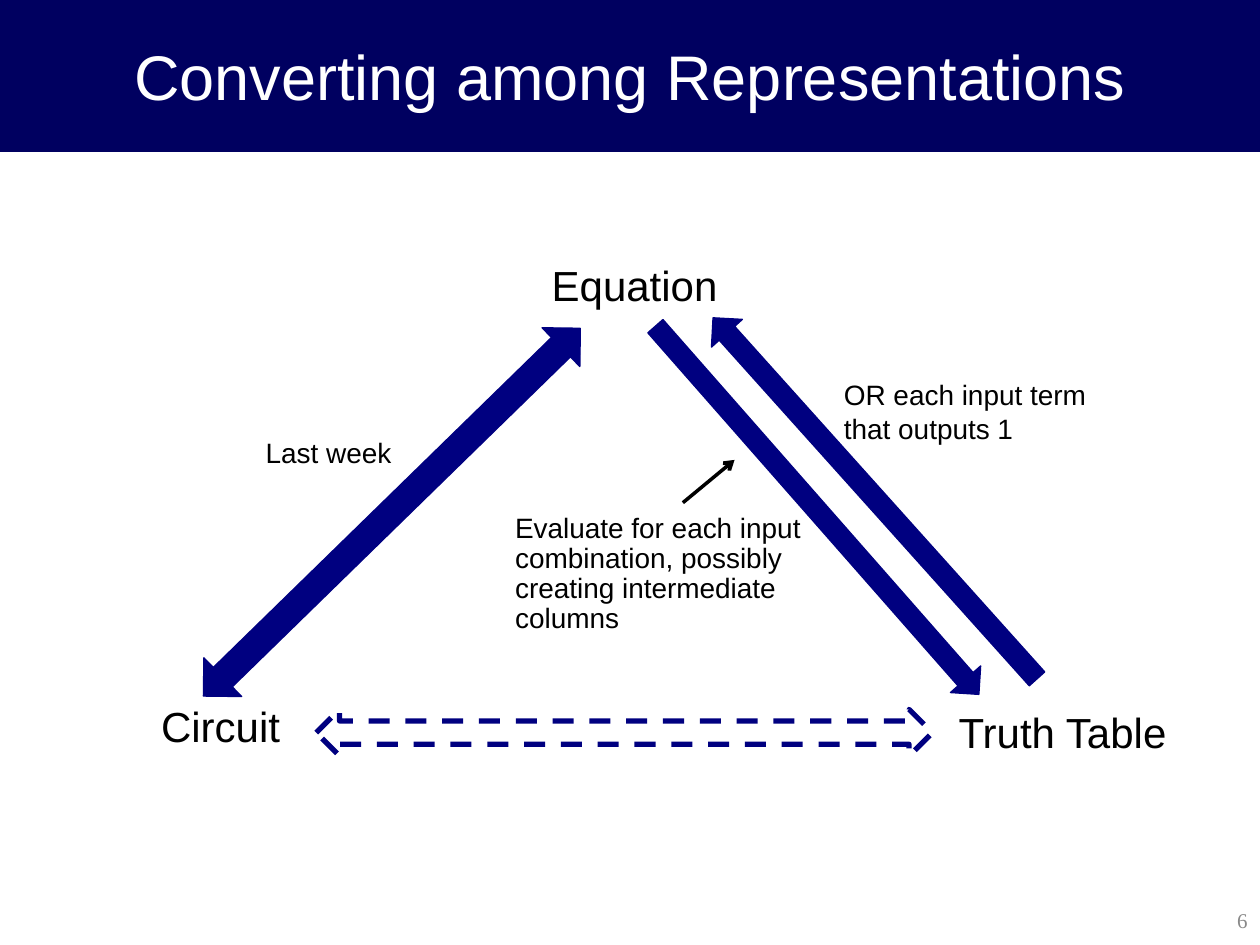
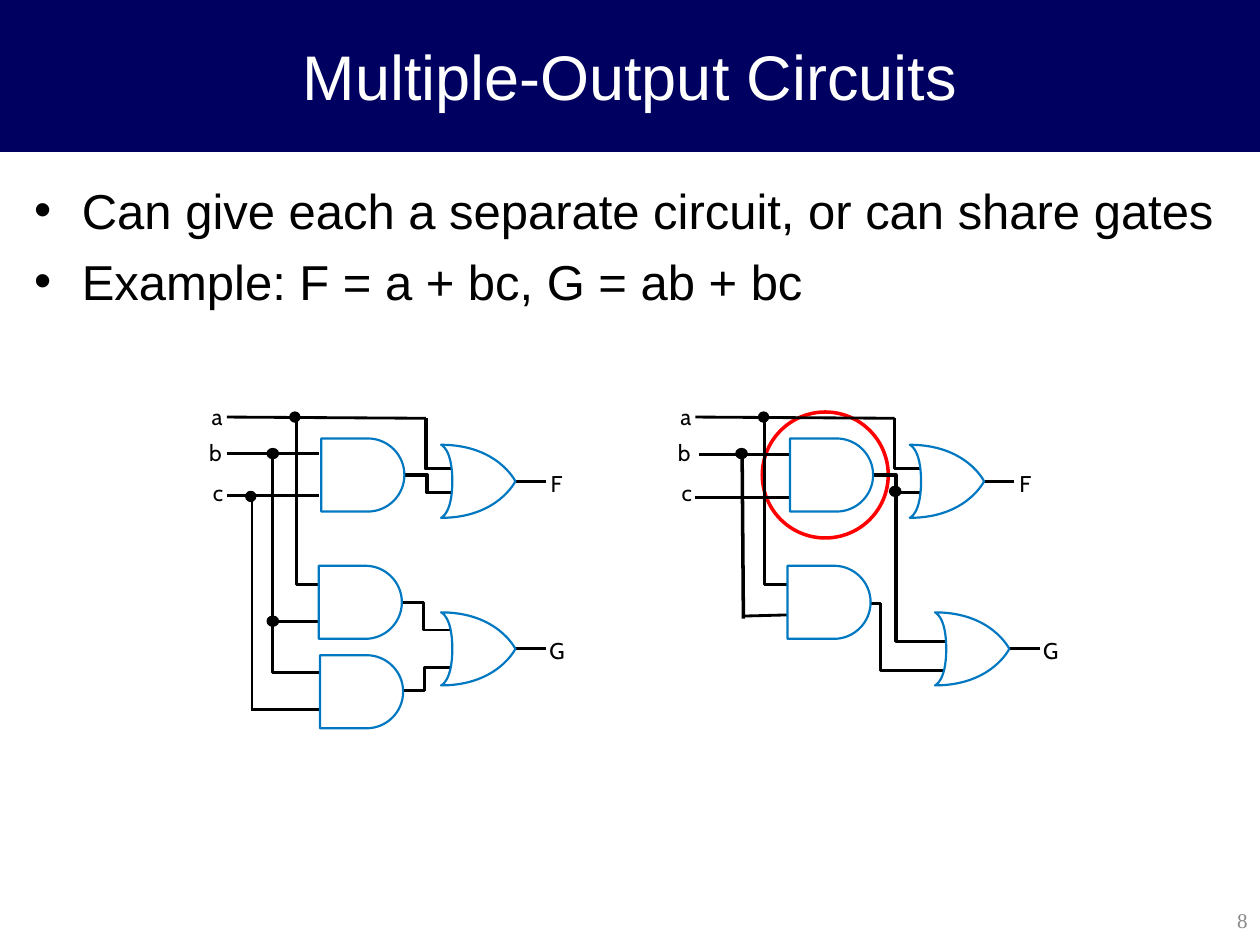
from lxml import etree
from pptx import Presentation
from pptx import util as u
from pptx.dml import color as dml
from pptx.enum import dml as lines, shapes, text
from pptx.oxml import ns

COLORS = {name: dml.RGBColor.from_string(value) for name, value in {
    "band": "000060", "arrow": "000080", "ink": "000000", "paper": "FFFFFF",
    "page": "898989", "gate": "0078C1", "highlight": "FF0000"}.items()}
THIN, THICK = 1.62, 2


def write(paragraph, words, size, color="ink", font="Arial"):
    run = paragraph.add_run()
    run.text = words
    run.font.size = u.Pt(size)
    run.font.name = font
    run.font.color.rgb = COLORS[color]


def wire(slide, points, weight):
    (x0, y0), (x1, y1) = points[0], points[-1]
    upright = len(points) == 4 and points[1][0] == x0
    if len(points) == 3:
        corners = [(u.Inches(x), u.Inches(y)) for x, y in points]
        builder = slide.shapes.build_freeform(*corners[0])
        builder.add_line_segments(corners[1:], close=False)
        path = builder.convert_to_shape()
        path.shadow.inherit = False
        path.fill.background()
    else:
        ends = (x0, y0, x1, y1)
        if upright:
            middle_x, middle_y = (x0 + x1) / 2, (y0 + y1) / 2
            half_x, half_y = (x1 - x0) / 2, (y1 - y0) / 2
            ends = (middle_x + half_y, middle_y - half_x, middle_x - half_y, middle_y + half_x)
        kind = shapes.MSO_CONNECTOR.STRAIGHT if len(points) == 2 else shapes.MSO_CONNECTOR.ELBOW
        path = slide.shapes.add_connector(kind, *map(u.Inches, ends))
    if upright:
        path.element.spPr.xfrm.set("rot", "16200000")
    if len(points) == 4:
        axis = 1 if upright else 0
        bend = (points[1][axis] - points[0][axis]) / (points[3][axis] - points[0][axis])
        guides = path.element.xpath(".//a:avLst")[0]
        etree.SubElement(guides, ns.qn("a:gd"), name="adj1", fmla=f"val {round(bend * 100000)}")
    path.line.color.rgb = COLORS["ink"]
    path.line.width = u.Pt(weight)
    if len(points) != 3:
        etree.SubElement(path.element.spPr, ns.qn("a:effectLst"))
    return path


prs = Presentation()
prs.slide_width, prs.slide_height = u.Inches(10), u.Inches(7.5)

conversions = prs.slides.add_slide(prs.slide_layouts[5])
circuits = prs.slides.add_slide(prs.slide_layouts[1])

band = conversions.shapes.add_shape(
    shapes.MSO_SHAPE.RECTANGLE, 0, 0, u.Inches(10), u.Inches(1.2))
band.shadow.inherit = False
band.fill.solid()
band.fill.fore_color.rgb = COLORS["band"]
band.line.color.rgb = COLORS["band"]
band.line.width = u.Pt(0.75)
band.element.nvSpPr.cNvPr.set("id", "20")
prs.slide_master.shapes.element.insert(2, band.element)

for slide, heading, number in (
    (conversions, "Converting among Representations", "6"),
    (circuits, "Multiple-Output Circuits", "8"),
):
    title = slide.shapes.title
    title.left, title.top, title.width, title.height = 0, 0, u.Inches(10), u.Inches(1.2)
    title.text_frame.auto_size = text.MSO_AUTO_SIZE.NONE
    title.text_frame.vertical_anchor = text.MSO_ANCHOR.MIDDLE
    title.text_frame.paragraphs[0].alignment = text.PP_ALIGN.CENTER
    write(title.text_frame.paragraphs[0], heading, 36, "paper")
    page = slide.shapes.add_textbox(u.Inches(7.88), u.Inches(7.1), u.Inches(2.12), u.Inches(0.4))
    page.text_frame.word_wrap = True
    page.text_frame.vertical_anchor = text.MSO_ANCHOR.MIDDLE
    page.text_frame.paragraphs[0].alignment = text.PP_ALIGN.RIGHT
    write(page.text_frame.paragraphs[0], number, 12, "page", "Times New Roman")

both, one_way = shapes.MSO_SHAPE.LEFT_RIGHT_ARROW, shapes.MSO_SHAPE.RIGHT_ARROW
for kind, box, angle, dashed in (
    (both, (1.02, 3.85, 4.18, 0.43), 135.7, False),
    (one_way, (5.02, 3.79, 3.85, 0.33), 228.1, False),
    (both, (2.51, 5.63, 4.89, 0.37), 0, True),
    (one_way, (4.54, 3.89, 3.89, 0.32), 48.7, False),
):
    arrow = conversions.shapes.add_shape(kind, *map(u.Inches, box))
    arrow.rotation = angle
    arrow.shadow.inherit = False
    arrow.line.color.rgb = COLORS["arrow"]
    if dashed:
        arrow.fill.background()
        arrow.line.width = u.Pt(3)
        arrow.line.dash_style = lines.MSO_LINE.DASH
    else:
        arrow.fill.solid()
        arrow.fill.fore_color.rgb = COLORS["arrow"]
        arrow.line.width = u.Pt(0.75)

for box, size, spacing, indent, paragraphs in (
    ((4.28, 2.01, 1.69, 0.5), 24, 1, 0, ["Equation"]),
    ((1.18, 5.51, 1.69, 0.5), 24, 1, 0, ["Circuit"]),
    ((7.51, 5.56, 2.18, 0.5), 24, 1, 0, ["Truth Table"]),
    ((2.01, 3.41, 2.22, 0.37), 16, 1, 0, ["Last week"]),
    ((6.6, 2.95, 2.74, 0.64), 16, 1, 0, ["OR each input term\nthat outputs 1"]),
    ((2.99, 4.03, 3.94, 1.06), 16, 0.9, 1,
     ["Evaluate for each input combination, possibly", "creating intermediate columns"]),
):
    frame = conversions.shapes.add_textbox(*map(u.Inches, box)).text_frame
    frame.word_wrap = True
    frame.auto_size = text.MSO_AUTO_SIZE.SHAPE_TO_FIT_TEXT
    for index, words in enumerate(paragraphs):
        paragraph = frame.add_paragraph() if index else frame.paragraphs[0]
        paragraph.line_spacing = spacing
        if indent:
            paragraph.level = 2
            properties = paragraph._p.get_or_add_pPr()
            properties.set("marL", str(u.Inches(indent)))
            properties.set("indent", "0")
        for row, part in enumerate(words.split("\n")):
            if row:
                paragraph.add_line_break()
            write(paragraph, part, size)

pointer = wire(conversions, [(5.42, 3.99), (5.83, 3.65)], THICK)
etree.SubElement(pointer.element.xpath(".//a:ln")[0], ns.qn("a:tailEnd"), type="arrow")

points = circuits.placeholders[1]
points.left, points.top = u.Inches(0.17), u.Inches(1.38)
points.width, points.height = u.Inches(9.66), u.Inches(5.72)
points.text_frame.auto_size = text.MSO_AUTO_SIZE.NONE
for index, words in enumerate((
    "Can give each a separate circuit, or can share gates",
    "Example: F = a + bc, G = ab + bc",
)):
    paragraph = points.text_frame.add_paragraph() if index else points.text_frame.paragraphs[0]
    properties = paragraph._p.get_or_add_pPr()
    properties.set("marL", str(u.Inches(0.38)))
    properties.set("indent", str(u.Inches(-0.38)))
    etree.SubElement(properties, ns.qn("a:buChar"), char="•")
    paragraph.space_before = u.Pt(7 if index else 0)
    write(paragraph, words, 28)

shared_gate = circuits.shapes.add_shape(
    shapes.MSO_SHAPE.OVAL, u.Inches(6.05), u.Inches(3.27), u.Inches(1), u.Inches(1))
shared_gate.shadow.inherit = False
shared_gate.fill.background()
shared_gate.line.color.rgb = COLORS["highlight"]
shared_gate.line.width = u.Pt(2)

PITCH = 3.72
G_SHIFT = 0.2
common_wires = [
    ([(1.8, 3.31), (3.38, 3.32)], THIN),
    ([(4.09, 3.82), (4.33, 3.82)], THIN),
    ([(2.53, 4.64), (2.35, 4.64), (2.35, 3.31)], THIN),
    ([(3.38, 3.32), (3.38, 3.72), (3.61, 3.72), (3.61, 3.71)], THICK),
    ([(3.2, 3.77), (3.39, 3.77), (3.39, 3.91), (3.58, 3.91)], THICK),
]
separate_wires = [
    ([(1.8, 3.6), (2.53, 3.6)], THIN),
    ([(1.8, 3.93), (2.53, 3.93)], THIN),
    ([(2.16, 4.93), (2.53, 4.93)], THIN),
    ([(1.99, 5.63), (2.53, 5.63)], THIN),
    ([(2, 5.62), (2, 3.91)], THIN),
    ([(2.16, 3.6), (2.16, 5.34), (2.53, 5.34)], THIN),
    ([(3.2, 4.78), (3.36, 4.78), (3.36, 5), (3.58, 5)], THIN),
    ([(3.2, 5.48), (3.37, 5.48), (3.37, 5.3), (3.58, 5.3)], THIN),
]
sharing_wires = [
    ([(5.55, 3.61), (6.27, 3.61)], THIN),
    ([(5.52, 3.95), (6.26, 3.95)], THIN),
    ([(5.89, 4.89), (6.26, 4.88)], THIN),
    ([(5.89, 3.59), (5.9, 4.91)], THICK),
    ([(7.11, 3.89), (7.11, 5.09), (7.51, 5.09), (7.51, 5.08)], THICK),
    ([(6.91, 4.79), (6.99, 4.79), (6.99, 5.32), (7.5, 5.32)], THICK),
]
for route, weight in separate_wires + sharing_wires:
    wire(circuits, route, weight)

tip = (0.59, 0.29)
and_curves = [(0, 0.58), (0.37, 0.58), (0.37, 0.58), (0.37, 0.58),
              (0.53, 0.58), (0.66, 0.45), (0.66, 0.29),
              (0.66, 0.13), (0.53, 0), (0.37, 0), (0, 0), (0, 0), (0, 0)]
or_curves = [tip, tip, (0.45, 0.58), (0, 0.58), (0, 0.58), (0.09, 0.55), (0.09, 0.29),
             (0.09, 0.03), (0, 0), (0, 0), (0.45, 0), tip, tip]

gates = [(and_curves, 2.54, 5.2)]
dots = [(1.95, 3.9, 0.08), (2.12, 4.89, 0.09), (7.06, 3.86, 0.09)]
labels = []
for shift, g_shift in ((0, 0), (PITCH, PITCH + G_SHIFT)):
    for route, weight in common_wires:
        wire(circuits, [(x + shift, y) for x, y in route], weight)
    wire(circuits, [(4.09 + g_shift, 5.15), (4.33 + g_shift, 5.15)], THIN)
    gates += [(and_curves, 2.55 + shift, 3.48), (and_curves, 2.53 + shift, 4.49),
              (or_curves, 3.5 + shift, 3.53), (or_curves, 3.5 + g_shift, 4.86)]
    dots += [(2.3 + shift, 3.27, 0.08), (2.12 + shift, 3.56, 0.09)]
    labels += [("a", 1.68 + shift, 3.2, 0.1), ("b", 1.66 + shift, 3.48, 0.11),
               ("c", 1.69 + shift, 3.8, 0.09), ("F", 4.37 + shift, 3.73, 0.09),
               ("G", 4.36 + g_shift, 5.05, 0.13)]

for left, top, width in dots:
    junction = circuits.shapes.add_shape(
        shapes.MSO_SHAPE.OVAL, u.Inches(left), u.Inches(top), u.Inches(width), u.Inches(0.08))
    junction.shadow.inherit = False
    junction.fill.solid()
    junction.fill.fore_color.rgb = COLORS["ink"]
    junction.line.color.rgb = COLORS["ink"]
    junction.line.width = u.Pt(0.75)

for signal, left, top, width in labels:
    frame = circuits.shapes.add_textbox(
        u.Inches(left), u.Inches(top), u.Inches(width), u.Inches(0.22)).text_frame
    frame.margin_left = frame.margin_right = frame.margin_top = frame.margin_bottom = 0
    frame.word_wrap = False
    frame.auto_size = text.MSO_AUTO_SIZE.SHAPE_TO_FIT_TEXT
    write(frame.paragraphs[0], signal, 13, font="Cabin")

for curves, left, top in gates:
    corners = [(u.Inches(left + x), u.Inches(top + y)) for x, y in curves]
    builder = circuits.shapes.build_freeform(*corners[0])
    builder.add_line_segments(corners[1:], close=True)
    gate = builder.convert_to_shape()
    segments = gate.element.xpath(".//a:lnTo")
    for first in range(0, len(segments), 3):
        curve = etree.Element(ns.qn("a:cubicBezTo"))
        segments[first].addprevious(curve)
        for segment in segments[first:first + 3]:
            curve.append(segment[0])
            segment.getparent().remove(segment)
    gate.shadow.inherit = False
    gate.fill.solid()
    gate.fill.fore_color.rgb = COLORS["paper"]
    gate.line.color.rgb = COLORS["gate"]
    gate.line.width = u.Pt(1.25)

prs.save("out.pptx")
